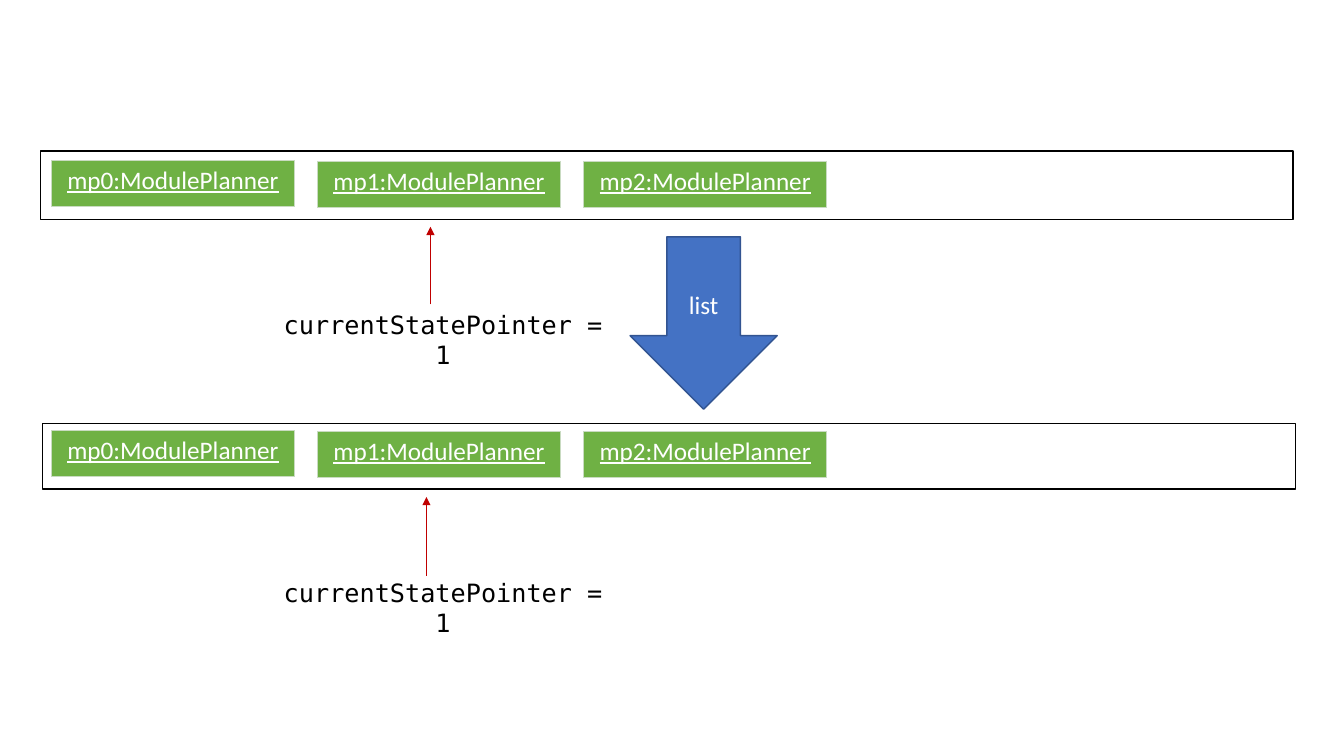
"""Build a slide showing the planner state list before and after the list command."""
from lxml import etree
from pptx import Presentation
from pptx import util as u
from pptx.dml import color
from pptx.enum import shapes, text
from pptx.oxml import ns

WIDTH, HEIGHT = u.Inches(13.33), u.Inches(7.5)
BLACK = color.RGBColor(0x00, 0x00, 0x00)
WHITE = color.RGBColor(0xFF, 0xFF, 0xFF)
BLUE = color.RGBColor(0x44, 0x72, 0xC4)
NAVY = color.RGBColor(0x32, 0x54, 0x91)
RED = color.RGBColor(0xC0, 0x00, 0x00)
GREEN = color.RGBColor(0x6F, 0xB1, 0x44)
PALE = color.RGBColor(0xC9, 0xDB, 0xC1)
PLANNERS = ("mp0:ModulePlanner", "mp1:ModulePlanner", "mp2:ModulePlanner")
FIRST_LEFT, PITCH = 3.83, 19.8


def across(percent):
    """Return a share of the slide width."""
    return u.Emu(round(WIDTH * percent / 100))


def down(percent):
    """Return a share of the slide height."""
    return u.Emu(round(HEIGHT * percent / 100))


def area(left, top, width, height):
    """Return a rectangle given in percent of the slide."""
    return across(left), down(top), across(width), down(height)


def write(frame, words, font="Calibri", ink=WHITE, underline=False):
    """Write one centred paragraph with its format."""
    para = frame.paragraphs[0]
    para.alignment = text.PP_ALIGN.CENTER
    span = para.add_run()
    span.text = words
    span.font.name = font
    span.font.size = u.Pt(18)
    span.font.bold = False
    span.font.underline = underline
    span.font.color.rgb = ink


def add_box(page, kind, place, line, fill=None):
    """Add a preset shape with an outline and an optional fill."""
    box = page.shapes.add_shape(kind, *area(*place))
    box.shadow.inherit = False
    box.line.color.rgb = line
    box.line.width = u.Pt(1)
    if fill is None:
        box.fill.background()
    else:
        box.fill.solid()
        box.fill.fore_color.rgb = fill
    return box


def add_borders(cell):
    """Give a cell thin pale borders on all four sides."""
    properties = cell._tc.get_or_add_tcPr()
    for index, side in enumerate(("a:lnL", "a:lnR", "a:lnT", "a:lnB")):
        edge = etree.Element(ns.qn(side), w=str(u.Pt(0.5)))
        solid = etree.SubElement(edge, ns.qn("a:solidFill"))
        etree.SubElement(solid, ns.qn("a:srgbClr"), val=str(PALE))
        properties.insert(index, edge)


def add_planner(page, words, left, top):
    """Add a one-cell table naming a planner object."""
    table = page.shapes.add_table(1, 1, *area(left, top, 18.08, 6.13)).table
    table.first_row = table.horz_banding = False
    cell = table.cell(0, 0)
    cell.fill.solid()
    cell.fill.fore_color.rgb = GREEN
    add_borders(cell)
    write(cell.text_frame, words, underline=True)


def add_state_list(page, frame, top):
    """Add a frame with its row of planners."""
    add_box(page, shapes.MSO_SHAPE.RECTANGLE, frame, BLACK)
    for column, words in enumerate(PLANNERS):
        nudge = 0.13 if column else 0
        add_planner(page, words, FIRST_LEFT + column * PITCH, top + nudge)


def add_pointer(page, left, start, end, label_top):
    """Add a thin upward arrow and its label."""
    arrow = page.shapes.add_connector(
        shapes.MSO_CONNECTOR.STRAIGHT,
        across(left), down(start), across(left), down(end))
    arrow.line.color.rgb = RED
    arrow.line.width = u.Pt(0.5)
    etree.SubElement(arrow.line._get_or_add_ln(), ns.qn("a:tailEnd"), type="triangle")
    etree.SubElement(arrow._element.spPr, ns.qn("a:effectLst"))
    label = page.shapes.add_textbox(*area(PITCH, label_top, 26.33, 5.33))
    label.text_frame.word_wrap = True
    label.text_frame.auto_size = text.MSO_AUTO_SIZE.SHAPE_TO_FIT_TEXT
    write(label.text_frame, "currentStatePointer = 1", font="DejaVu Sans Mono", ink=BLACK)


def main():
    """Build and save the deck."""
    deck = Presentation()
    deck.slide_width, deck.slide_height = WIDTH, HEIGHT
    page = deck.slides.add_slide(deck.slide_layouts[6])
    command = add_box(page, shapes.MSO_SHAPE.DOWN_ARROW,
                      (46.88, 31.33, 10.95, 22.8), NAVY, BLUE)
    command.text_frame.vertical_anchor = text.MSO_ANCHOR.MIDDLE
    write(command.text_frame, "list")
    add_state_list(page, (3, 20, 93.22, 9.07), 21.2)
    add_state_list(page, (3.15, 56, 93.22, 8.67), 56.93)
    add_pointer(page, 32.03, 40.27, 30, 40.27)
    add_pointer(page, 31.73, 76.13, 65.73, 75.73)
    deck.save("out.pptx")


main()
